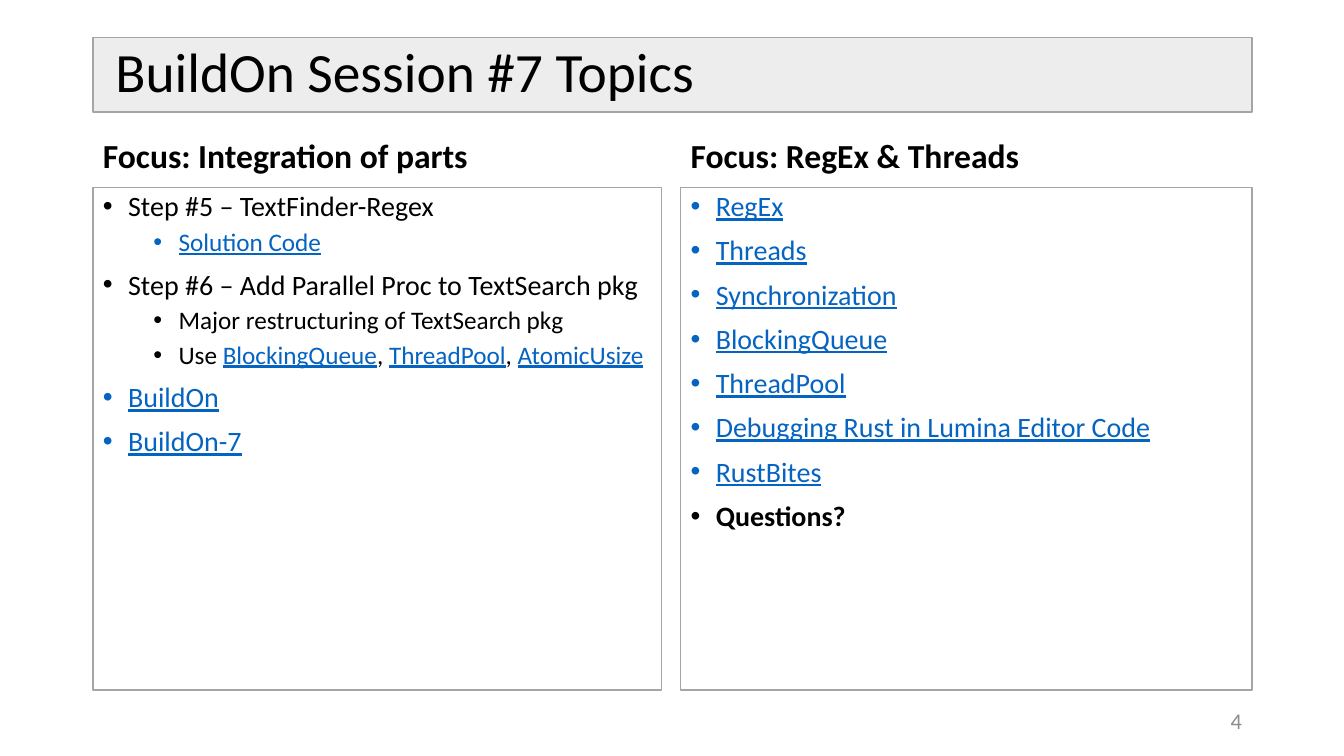
from lxml import etree
from pptx import Presentation
from pptx import util as u
from pptx.dml.color import RGBColor
from pptx.enum import text
from pptx.oxml import ns

COLORS = {"ink": "000000", "link": "0563C1", "band": "EDEDED",
          "paper": "FFFFFF", "border": "A5A5A5", "number": "8C8C8C"}
FONT = "Calibri"
LEFT, RIGHT = 2.34, 31.55
COLUMNS = [(LEFT, 14.33), (17.15, RIGHT - 17.15)]
HEADINGS = ["Focus: Integration of parts", "Focus: RegEx & Threads"]
STEPS = [
    (0, [("Step #5 – TextFinder-Regex", "plain")]),
    (1, [("Solution Code", "link")]),
    (0, [("Step #6 – Add Parallel Proc to TextSearch pkg", "plain")]),
    (1, [("Major restructuring of TextSearch pkg", "plain")]),
    (1, [("Use ", "plain"), ("BlockingQueue", "link"), (", ", "plain"),
         ("ThreadPool", "link"), (", ", "plain"), ("AtomicUsize", "link")]),
    (0, [("BuildOn", "link")]),
    (0, [("BuildOn-7", "link")]),
]
LINKED_TOPICS = ["RegEx", "Threads", "Synchronization", "BlockingQueue", "ThreadPool",
                 "Debugging Rust in Lumina Editor Code", "RustBites"]
TOPICS = [(0, [(topic, "link")]) for topic in LINKED_TOPICS] + [(0, [("Questions?", "bold")])]


def rgb(name):
    """Return the named colour."""
    return RGBColor.from_string(COLORS[name])


def place(part, left, top, width, height, anchor):
    """Move a part and prepare its text frame."""
    part.left, part.top, part.width, part.height = map(u.Cm, (left, top, width, height))
    frame = part.text_frame
    frame.word_wrap = True
    frame.auto_size = text.MSO_AUTO_SIZE.NONE
    frame.vertical_anchor = anchor
    return frame


def outline(part, fill):
    """Fill a part and give it the grey border."""
    part.fill.solid()
    part.fill.fore_color.rgb = rgb(fill)
    part.line.color.rgb = rgb("border")
    part.line.width = u.Pt(1)


def add_run(paragraph, words, size, color="ink", bold=False, underline=False):
    """Append one formatted run."""
    run = paragraph.add_run()
    run.text = words
    font = run.font
    font.name, font.size, font.bold, font.underline = FONT, u.Pt(size), bold, underline
    font.color.rgb = rgb(color)


def space(paragraph, before, align=text.PP_ALIGN.LEFT):
    """Set alignment and spacing of a paragraph."""
    paragraph.alignment = align
    paragraph.line_spacing = 0.9
    paragraph.space_before = u.Pt(before)
    paragraph.space_after = u.Pt(0)


def set_bullet(paragraph, level, color):
    """Give a paragraph a hanging round bullet."""
    paragraph.level = level
    props = paragraph._p.get_or_add_pPr()
    props.set("marL", str(u.Cm(0.635 + 1.27 * level)))
    props.set("indent", str(u.Cm(-0.635)))
    tint = etree.SubElement(props, ns.qn("a:buClr"))
    etree.SubElement(tint, ns.qn("a:srgbClr"), val=COLORS[color])
    etree.SubElement(props, ns.qn("a:buFont"), typeface="Arial")
    etree.SubElement(props, ns.qn("a:buChar"), char="•")


def fill_list(frame, entries):
    """Write bulleted entries of (level, runs)."""
    for index, (level, runs) in enumerate(entries):
        paragraph = frame.add_paragraph() if index else frame.paragraphs[0]
        space(paragraph, 5 if level else 10)
        set_bullet(paragraph, level, "link" if runs[0][1] == "link" else "ink")
        for words, style in runs:
            linked = style == "link"
            add_run(paragraph, words, 18 if level else 20, "link" if linked else "ink",
                    style == "bold", linked)


def add_title(title):
    """Write the title in its grey band."""
    frame = place(title, LEFT, 0.94, RIGHT - LEFT, 1.88, text.MSO_ANCHOR.MIDDLE)
    frame.margin_left = u.Cm(0.57)
    outline(title, "band")
    space(frame.paragraphs[0], 0)
    add_run(frame.paragraphs[0], "BuildOn Session #7 Topics", 39.6)


def add_column(heading, topics, span, words, entries):
    """Write one heading with its bordered list below."""
    left, width = span
    line = place(heading, left, 3.2, width, 1.35, text.MSO_ANCHOR.BOTTOM).paragraphs[0]
    space(line, 10)
    add_run(line, words, 24, bold=True)
    frame = place(topics, left, 4.72, width, 12.67, text.MSO_ANCHOR.TOP)
    outline(topics, "paper")
    fill_list(frame, entries)


def add_page_number(slide):
    """Write the page number at the lower right."""
    number = slide.shapes.add_textbox(0, 0, 0, 0)
    frame = place(number, RIGHT - 7.62, 17.65, 7.62, 1.02, text.MSO_ANCHOR.MIDDLE)
    frame.paragraphs[0].alignment = text.PP_ALIGN.RIGHT
    add_run(frame.paragraphs[0], "4", 16, "number")


def main():
    """Build the topics slide and save it."""
    deck = Presentation()
    deck.slide_width, deck.slide_height = u.Cm(33.87), u.Cm(19.05)
    slide = deck.slides.add_slide(deck.slide_layouts[4])
    title, *parts = slide.placeholders
    add_title(title)
    for heading, topics, *column in zip(parts[::2], parts[1::2], COLUMNS, HEADINGS,
                                        [STEPS, TOPICS]):
        add_column(heading, topics, *column)
    add_page_number(slide)
    deck.save("out.pptx")


main()
